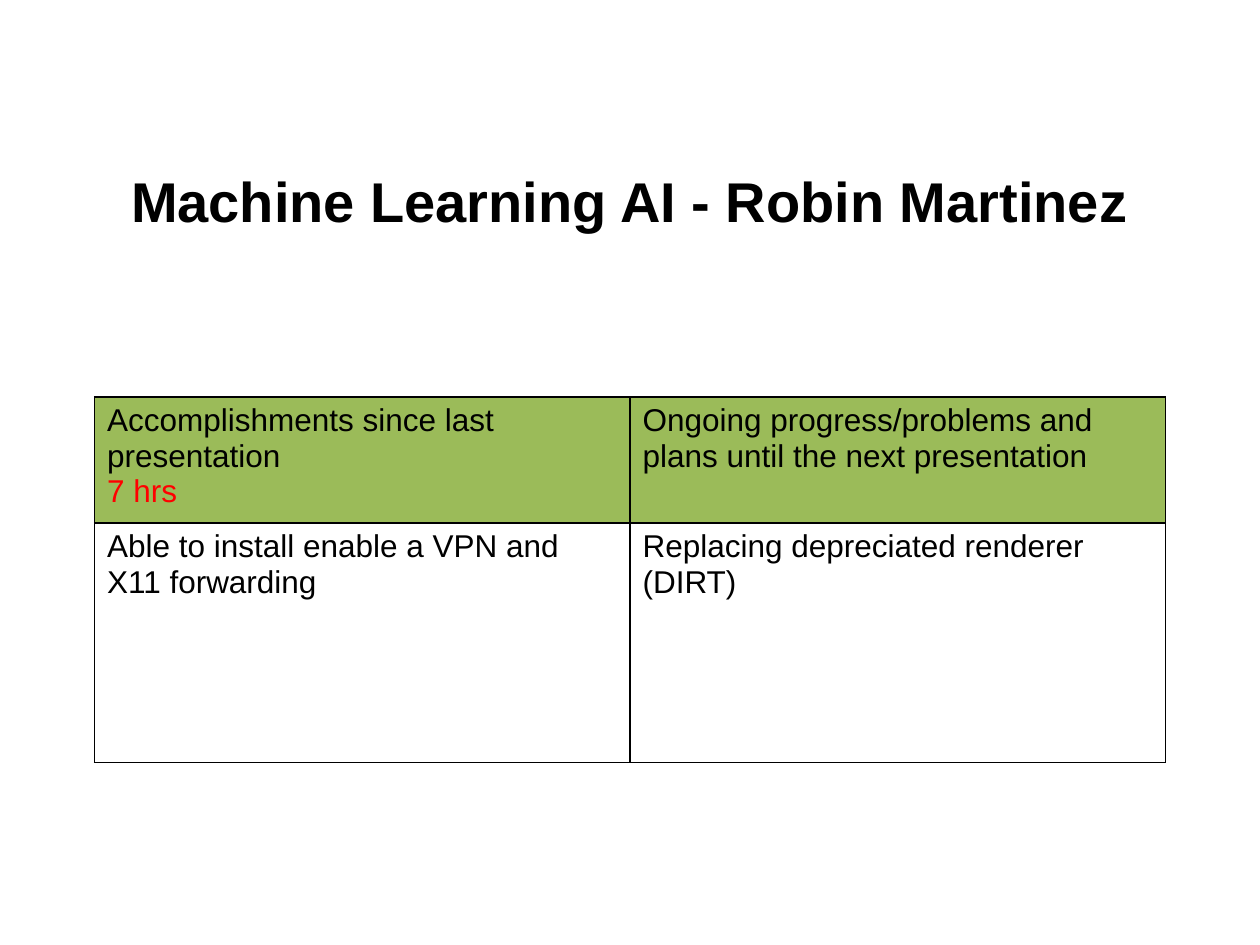
from lxml import etree
from pptx import Presentation
from pptx import util as u
from pptx.dml.color import RGBColor
from pptx.enum import text
from pptx.oxml.ns import qn


def color(value):
    return RGBColor.from_string(value)


def write(paragraph, content, size=18, fill="000000", bold=False, align=text.PP_ALIGN.LEFT):
    paragraph.alignment = align
    run = paragraph.add_run()
    run.text = content
    run.font.name = "Arial"
    run.font.size = u.Pt(size)
    run.font.bold = bold
    run.font.color.rgb = color(fill)


presentation = Presentation()
presentation.slide_width = u.Inches(10)
presentation.slide_height = u.Inches(7.5)
slide = presentation.slides.add_slide(presentation.slide_layouts[6])

title = slide.shapes.add_textbox(u.Inches(0.5), u.Inches(1.15), u.Inches(9), u.Inches(0.88))
title.text_frame.word_wrap = True
title.text_frame.vertical_anchor = text.MSO_ANCHOR.MIDDLE
write(title.text_frame.paragraphs[0], "Machine Learning AI - Robin Martinez",
      size=32, bold=True, align=text.PP_ALIGN.CENTER)

rows = [
    ["Accomplishments since last presentation",
     "Ongoing progress/problems and plans until the next presentation"],
    ["Able to install enable a VPN and X11 forwarding",
     "Replacing depreciated renderer (DIRT)"],
]
row_heights = [0.94, 1.9]

table = slide.shapes.add_table(2, 2, u.Inches(0.75), u.Inches(3.15),
                               u.Inches(8.5), u.Inches(sum(row_heights))).table
table.horz_banding = False
for column in table.columns:
    column.width = u.Inches(4.25)

for row_index, (contents, height) in enumerate(zip(rows, row_heights)):
    table.rows[row_index].height = u.Inches(height)
    for column_index, content in enumerate(contents):
        cell = table.cell(row_index, column_index)
        cell.margin_left = cell.margin_right = u.Inches(0.1)
        cell.margin_top = cell.margin_bottom = u.Inches(0.05)
        write(cell.text_frame.paragraphs[0], content)
        properties = cell._tc.get_or_add_tcPr()
        for side in ("a:lnL", "a:lnR", "a:lnT", "a:lnB"):
            border = etree.SubElement(properties, qn(side), w=str(u.Pt(1)))
            border_fill = etree.SubElement(border, qn("a:solidFill"))
            etree.SubElement(border_fill, qn("a:srgbClr"), val="000000")
        if row_index == 0:
            cell.fill.solid()
            cell.fill.fore_color.rgb = color("9BBB59")
        else:
            cell.fill.background()

write(table.cell(0, 0).text_frame.add_paragraph(), "7 hrs", fill="FF0000")

presentation.save("out.pptx")
